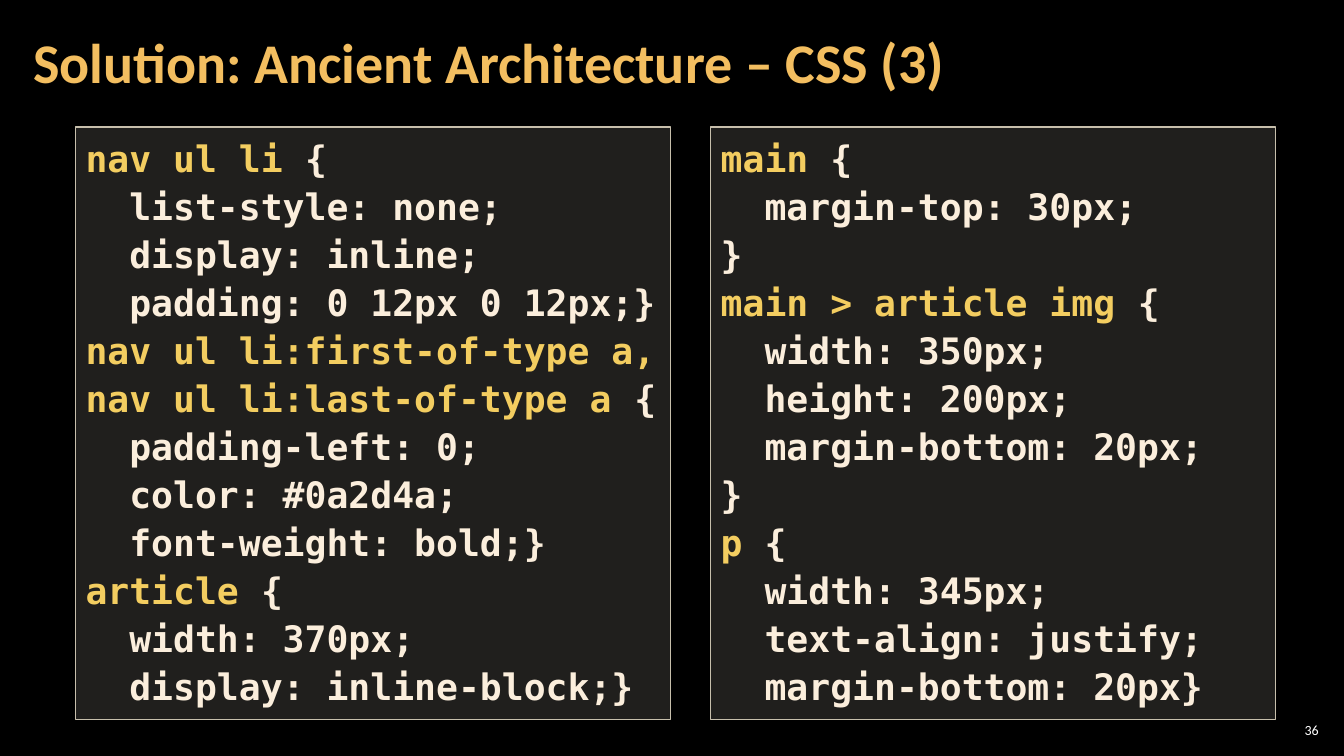
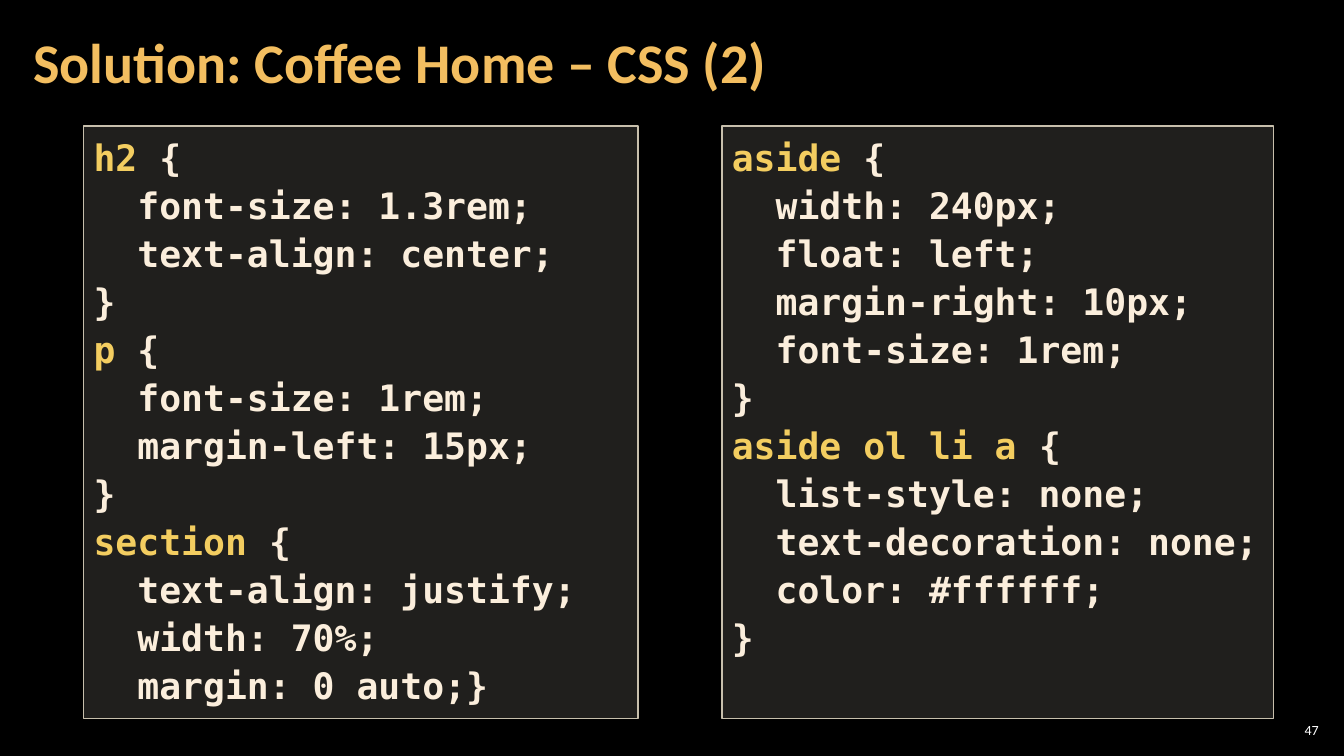
from lxml.etree import SubElement
from pptx import Presentation
from pptx.dml.color import RGBColor
from pptx.enum.shapes import MSO_SHAPE
from pptx.enum.text import MSO_ANCHOR, PP_ALIGN
from pptx.oxml.ns import qn
from pptx.util import Inches, Pt

COLORS = {
    "background": "000000",
    "title": "F3BE60",
    "selector": "F3CD60",
    "code": "FBEEDC",
    "panel": "D9D5C7",
    "border": "C7BFAC",
    "number": "FFFFFF",
}
TEXT_FONT, CODE_FONT = "Calibri", "DejaVu Sans Mono"
PANEL_HEIGHT = 5.88
PANEL_OPACITY = 15  # percent

# Each panel: left, width, code
SLIDES = [
    {
        "title": "Solution: Ancient Architecture – CSS (3)",
        "number": "36",
        "top": 1.26,
        "panels": [
            (0.75, 5.9, """\
nav ul li {
  list-style: none;
  display: inline;
  padding: 0 12px 0 12px;}
nav ul li:first-of-type a,
nav ul li:last-of-type a {
  padding-left: 0;
  color: #0a2d4a;
  font-weight: bold;}
article {
  width: 370px;
  display: inline-block;}"""),
            (7.05, 5.6, """\
main {
  margin-top: 30px;
}
main > article img {
  width: 350px;
  height: 200px;
  margin-bottom: 20px;
}
p {
  width: 345px;
  text-align: justify;
  margin-bottom: 20px}"""),
        ],
    },
    {
        "title": "Solution: Coffee Home – CSS (2)",
        "number": "47",
        "top": 1.25,
        "panels": [
            (0.83, 5.5, """\
h2 {
  font-size: 1.3rem;
  text-align: center;
}
p {
  font-size: 1rem;
  margin-left: 15px;
}
section {
  text-align: justify;
  width: 70%;
  margin: 0 auto;}"""),
            (7.16, 5.47, """\
aside {
  width: 240px;
  float: left;
  margin-right: 10px;
  font-size: 1rem;
}
aside ol li a {
  list-style: none;
  text-decoration: none;
  color: #ffffff;
}"""),
        ],
    },
]


def rgb(name):
    return RGBColor.from_string(COLORS[name])


def add_run(paragraph, text, font, size, color, bold=False):
    run = paragraph.add_run()
    run.text = text
    run.font.name, run.font.size, run.font.bold = font, Pt(size), bold
    run.font.color.rgb = rgb(color)


def add_label(slide, box, text, size, color, side_inset, bold=False,
              align=PP_ALIGN.LEFT, spacing=1.0):
    frame = slide.shapes.add_textbox(*map(Inches, box)).text_frame
    frame.word_wrap = True
    frame.vertical_anchor = MSO_ANCHOR.MIDDLE
    frame.margin_left = frame.margin_right = Inches(side_inset)
    frame.margin_top = frame.margin_bottom = Inches(0.04)
    paragraph = frame.paragraphs[0]
    paragraph.alignment, paragraph.line_spacing = align, spacing
    add_run(paragraph, text, TEXT_FONT, size, color, bold)


def add_code_panel(slide, left, top, width, code):
    panel = slide.shapes.add_shape(
        MSO_SHAPE.RECTANGLE, *map(Inches, (left, top, width, PANEL_HEIGHT)))
    panel.shadow.inherit = False
    panel.fill.solid()
    panel.fill.fore_color.rgb = rgb("panel")
    fill_color = next(panel.fill._xPr.iter(qn("a:srgbClr")))
    SubElement(fill_color, qn("a:alpha"), val=str(PANEL_OPACITY * 1000))
    panel.line.color.rgb = rgb("border")
    panel.line.width = Pt(1)

    frame = panel.text_frame
    frame.word_wrap = True
    frame.vertical_anchor = MSO_ANCHOR.TOP
    for index, line in enumerate(code.splitlines()):
        paragraph = frame.add_paragraph() if index else frame.paragraphs[0]
        paragraph.alignment, paragraph.line_spacing = PP_ALIGN.LEFT, 1.1
        # Selectors start at the margin; their opening brace is plain code
        if line.startswith((" ", "}")):
            parts = [(line, "code")]
        else:
            selector, brace, _ = line.partition("{")
            parts = [(selector, "selector"), (brace, "code")]
        for text, color in parts:
            if text:
                add_run(paragraph, text, CODE_FONT, 26, color, bold=True)


def main():
    deck = Presentation()
    deck.slide_width, deck.slide_height = Inches(13.33), Inches(7.5)
    for content in SLIDES:
        slide = deck.slides.add_slide(deck.slide_layouts[6])
        slide.background.fill.solid()
        slide.background.fill.fore_color.rgb = rgb("background")
        add_label(slide, (12.65, 7.14, 0.47, 0.21), content["number"],
                  10, "number", 0.04, align=PP_ALIGN.RIGHT)
        add_label(slide, (0.21, 0.04, 10.47, 1.21), content["title"],
                  40, "title", 0.12, bold=True, spacing=0.9)
        for left, width, code in content["panels"]:
            add_code_panel(slide, left, content["top"], width, code)
    deck.save("out.pptx")


if __name__ == "__main__":
    main()
